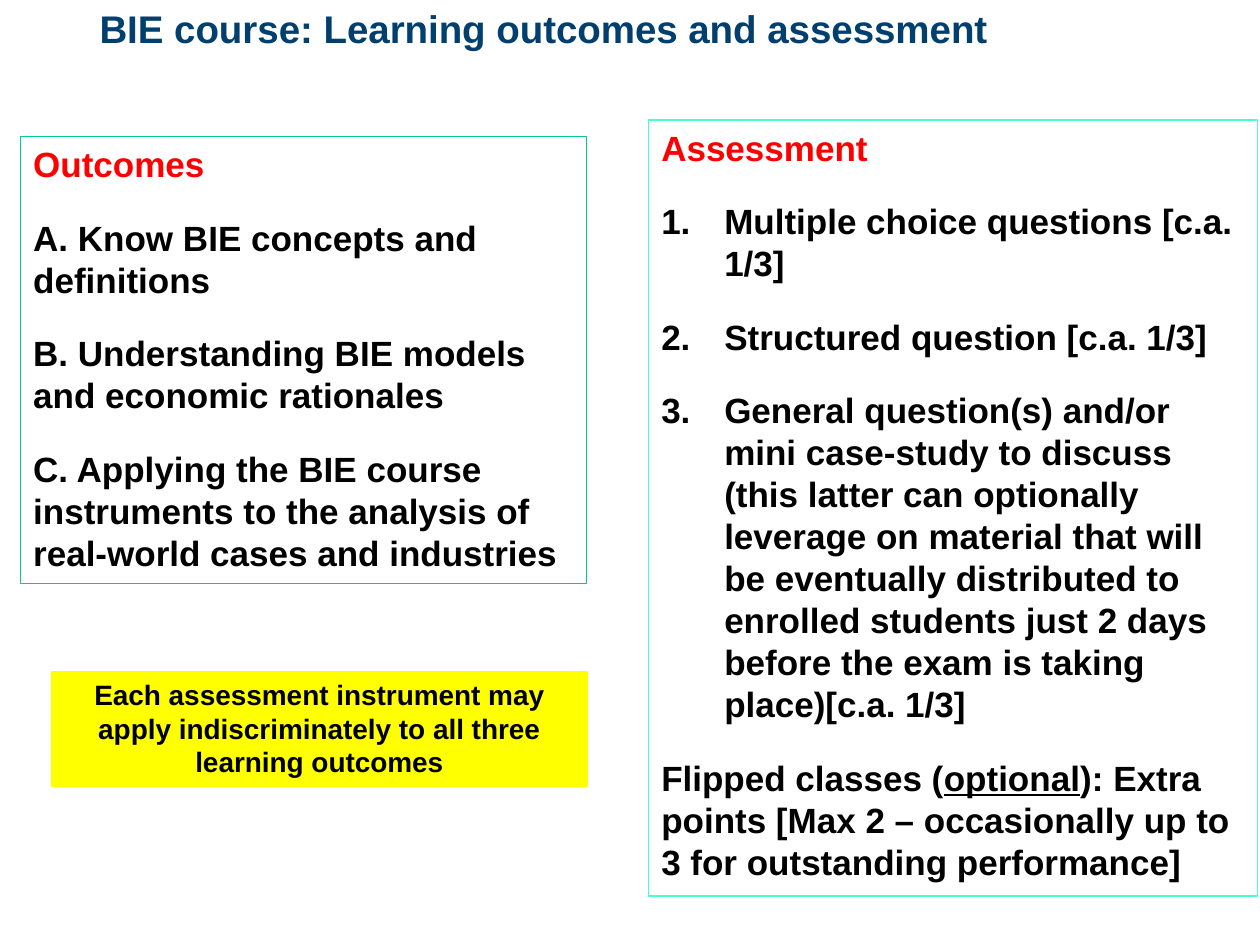
from lxml import etree
from pptx import Presentation
from pptx.dml.color import RGBColor
from pptx.enum.shapes import MSO_SHAPE
from pptx.enum.text import MSO_ANCHOR, MSO_AUTO_SIZE, PP_ALIGN
from pptx.oxml.ns import qn
from pptx.util import Inches, Pt

SLIDE_WIDTH, SLIDE_HEIGHT = Inches(10), Inches(7.5)
NAVY, RED, BLACK, YELLOW = "003F6E", "FF0000", "000000", "FFFF00"
GREEN, AQUA = "00CC99", "47FFD1"

# Boxes: left, top, width, height in percent of the slide
TITLE_BOX = (7.9, 0.53, 81.3, 12.27)
ASSESSMENT_BOX = (51.5, 12.7, 48.3, 82.13)
OUTCOMES_BOX = (1.65, 14.43, 44.9, 47.33)
NOTE_BOX = (4.1, 71.07, 42.5, 12.13)

OUTCOMES = [
    "A. Know BIE concepts and definitions",
    "B. Understanding BIE models and economic rationales",
    "C. Applying the BIE course instruments to the analysis of real-world cases and industries",
]
ASSESSMENTS = [
    "Multiple choice questions [c.a. 1/3]",
    "Structured question [c.a. 1/3]",
    "General question(s) and/or mini case-study to discuss (this latter can optionally "
    "leverage on material that will be eventually distributed to enrolled students just "
    "2 days before the exam is taking place)[c.a. 1/3]",
]
FLIPPED_CLASSES = [
    ("Flipped classes (", False),
    ("optional", True),
    ("): Extra points [Max 2 – occasionally up to 3 for outstanding performance]", False),
]


def color(value):
    return RGBColor.from_string(value)


def place(box):
    left, top, width, height = (share / 100 for share in box)
    return (round(left * SLIDE_WIDTH), round(top * SLIDE_HEIGHT),
            round(width * SLIDE_WIDTH), round(height * SLIDE_HEIGHT))


def set_attributes(target, values):
    for name, value in values.items():
        setattr(target, name, value)


def write(paragraph, text, size, text_color=BLACK, underline=None):
    run = paragraph.add_run()
    run.text = text
    set_attributes(run.font, {"name": "Arial", "size": Pt(size), "bold": True,
                              "underline": underline})
    run.font.color.rgb = color(text_color)


def add_paragraph(text_frame):
    paragraph = text_frame.add_paragraph()
    set_attributes(paragraph, {"space_before": Pt(18), "alignment": PP_ALIGN.LEFT})
    return paragraph


def number(paragraph):
    properties = paragraph._p.get_or_add_pPr()
    properties.set("marL", str(Inches(0.5)))
    properties.set("indent", str(-Inches(0.5)))
    etree.SubElement(properties, qn("a:buFont"), typeface="+mj-lt")
    etree.SubElement(properties, qn("a:buAutoNum"), type="arabicPeriod")


def add_panel(slide, box, line_color, fill_color=None):
    shape = slide.shapes.add_shape(MSO_SHAPE.RECTANGLE, *place(box))
    shape.shadow.inherit = False
    if fill_color:
        shape.fill.solid()
        shape.fill.fore_color.rgb = color(fill_color)
    else:
        shape.fill.background()
    shape.line.color.rgb = color(line_color)
    shape.line.width = Pt(0.75)
    set_attributes(shape.text_frame, {"word_wrap": True, "vertical_anchor": MSO_ANCHOR.TOP,
                                      "auto_size": MSO_AUTO_SIZE.SHAPE_TO_FIT_TEXT})
    return shape.text_frame


def add_headed_panel(slide, box, line_color, heading):
    text_frame = add_panel(slide, box, line_color)
    paragraph = text_frame.paragraphs[0]
    paragraph.alignment = PP_ALIGN.LEFT
    write(paragraph, heading, 20, RED)
    return text_frame


def add_title(slide, box):
    text_frame = slide.shapes.add_textbox(*place(box)).text_frame
    set_attributes(text_frame, {"word_wrap": True, "margin_left": 0, "margin_top": 0,
                                "margin_right": 0, "margin_bottom": 0})
    write(text_frame.paragraphs[0], "BIE course: Learning outcomes and assessment", 22, NAVY)


def add_assessment(slide, box):
    text_frame = add_headed_panel(slide, box, AQUA, "Assessment")
    for text in ASSESSMENTS:
        paragraph = add_paragraph(text_frame)
        number(paragraph)
        write(paragraph, text, 20)
    paragraph = add_paragraph(text_frame)
    for text, underline in FLIPPED_CLASSES:
        write(paragraph, text, 20, underline=underline)


def add_outcomes(slide, box):
    text_frame = add_headed_panel(slide, box, GREEN, "Outcomes")
    for text in OUTCOMES:
        write(add_paragraph(text_frame), text, 20)


def add_note(slide, box):
    paragraph = add_panel(slide, box, YELLOW, YELLOW).paragraphs[0]
    paragraph.alignment = PP_ALIGN.CENTER
    write(paragraph, "Each assessment instrument may apply indiscriminately to all "
                     "three learning outcomes", 16)


def main():
    presentation = Presentation()
    set_attributes(presentation, {"slide_width": SLIDE_WIDTH, "slide_height": SLIDE_HEIGHT})
    slide = presentation.slides.add_slide(presentation.slide_layouts[6])
    add_title(slide, TITLE_BOX)
    add_assessment(slide, ASSESSMENT_BOX)
    add_outcomes(slide, OUTCOMES_BOX)
    add_note(slide, NOTE_BOX)
    presentation.save("out.pptx")


if __name__ == "__main__":
    main()
